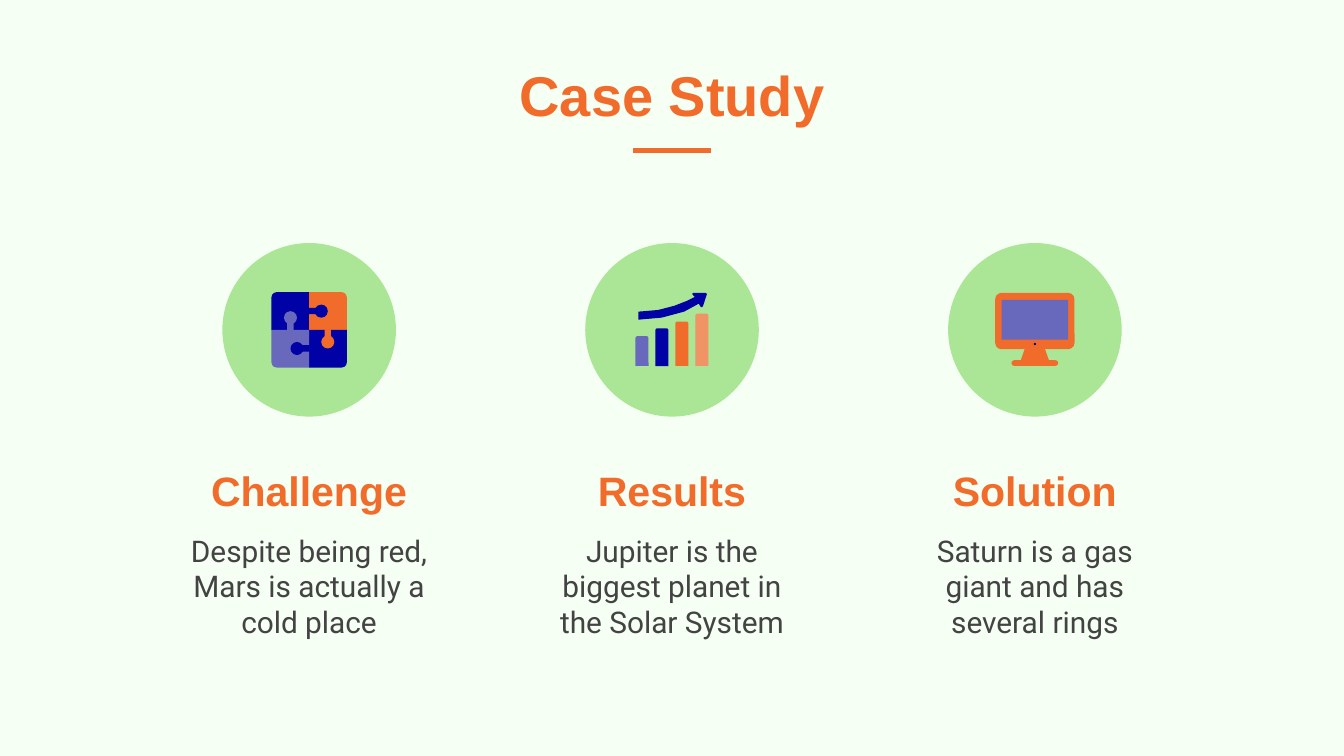
import pptx
import pptx.util
import pptx.dml.color
import pptx.enum.shapes
import pptx.enum.text
import pptx.oxml.ns
import lxml.etree

Pt = pptx.util.Pt
KIND = pptx.enum.shapes.MSO_SHAPE
ANCHOR = pptx.enum.text.MSO_ANCHOR
HEX = {
    "page": "F6FFF3", "disc": "ABE697", "orange": "F16C2A", "peach": "F09365",
    "navy": "0002A6", "violet": "6869BD", "text": "434343",
}
HEAD = {"size": Pt(30), "name": "Arial", "bold": True}
LABEL = {"size": Pt(22), "name": "Arial", "bold": True}
BODY = {"size": Pt(16), "name": "Roboto", "bold": False}


def rgb(tint):
    """Return the named colour."""
    return pptx.dml.color.RGBColor.from_string(HEX[tint])


def paint(shape, tint):
    """Give a shape a flat fill with no line or shadow."""
    shape.shadow.inherit = False
    shape.fill.solid()
    shape.fill.fore_color.rgb = rgb(tint)
    shape.line.fill.background()


def block(slide, kind, box, tint, round=None, turn=0):
    """Place a flat preset shape in a box given in points."""
    shape = slide.shapes.add_shape(kind, *map(Pt, box))
    if round is not None:
        shape.adjustments[0] = round
    shape.rotation = turn
    paint(shape, tint)


def spot(slide, kind, x, y, wide, high, tint):
    """Place a shape by its centre."""
    block(slide, kind, (x - wide / 2, y - high / 2, wide, high), tint)


def write(slide, box, words, look, tint, anchor):
    """Place a centred text box."""
    frame = slide.shapes.add_textbox(*map(Pt, box)).text_frame
    form = {"word_wrap": True, "vertical_anchor": anchor}
    for side in ("left", "top", "right", "bottom"):
        form["margin_" + side] = Pt(7.2)
    for key, value in form.items():
        setattr(frame, key, value)
    line = frame.paragraphs[0]
    line.alignment = pptx.enum.text.PP_ALIGN.CENTER
    run = line.add_run()
    run.text = words
    for key, value in look.items():
        setattr(run.font, key, value)
    run.font.color.rgb = rgb(tint)


def header(slide, x, y, wide, high):
    """Place the slide title and the short rule below it."""
    write(slide, (x, y, wide, high), "Case Study", HEAD, "orange", ANCHOR.BOTTOM)
    mid, base = x + wide / 2, y + high + 5
    rule = slide.shapes.add_connector(
        pptx.enum.shapes.MSO_CONNECTOR.STRAIGHT,
        Pt(mid - 20.9), Pt(base), Pt(mid + 20.9), Pt(base))
    rule.line.width = Pt(3)
    rule.line.color.rgb = rgb("orange")
    lxml.etree.SubElement(rule._element.spPr, pptx.oxml.ns.qn("a:effectLst"))


def puzzle(slide, x, y):
    """Draw four interlocking pieces around a centre."""
    side = 20.2
    tiles = [(-1, -1, 270, "navy"), (0, -1, 0, "orange"),
             (0, 0, 90, "navy"), (-1, 0, 180, "violet")]
    for col, row, turn, tint in tiles:
        box = (x + col * side, y + row * side, side, side)
        block(slide, KIND.ROUND_1_RECTANGLE, box, tint, 0.14, turn)
    knobs = [(6.5, -10, "navy"), (10, 6.5, "orange"),
             (-6.5, 10, "navy"), (-10, -6.5, "violet")]
    for dx, dy, tint in knobs:
        flat = abs(dx) < abs(dy)
        neck = (x + dx / 2, y + dy, 7, 3.4) if flat else (x + dx, y + dy / 2, 3.4, 7)
        spot(slide, KIND.RECTANGLE, *neck, tint)
        spot(slide, KIND.OVAL, x + dx, y + dy, 7, 7, tint)


def growth(slide, x, y):
    """Draw rising bars under a curved arrow."""
    bars = [(16, "violet"), (20.2, "navy"), (23.8, "orange"), (28, "peach")]
    for step, (high, tint) in enumerate(bars):
        box = (x - 19.6 + step * 10.7, y + 19.4 - high, 7, high)
        block(slide, KIND.ROUND_2_SAME_RECTANGLE, box, tint, 0.15)
    edge = [(10.8, -19.1), (12.2, -17.6), (8.1, -15.5), (1.4, -12.9),
            (-7.4, -10.6), (-18, -9.7), (-18, -5.4), (-5.5, -6.5),
            (6.5, -9.7), (14.4, -14), (15.1, -12.6), (16, -12),
            (16.6, -12.6), (18.7, -19.1), (18, -19.8), (11.5, -19.8)]
    dots = [(Pt(x + dx), Pt(y + dy)) for dx, dy in edge]
    pen = slide.shapes.build_freeform(*dots[0])
    pen.add_line_segments(dots[1:], close=True)
    paint(pen.convert_to_shape(), "navy")


def screen(slide, x, y):
    """Draw a desktop monitor on its stand."""
    parts = [
        (KIND.TRAPEZOID, 0, 12.6, 15.8, 9.4, "orange", 0.35),
        (KIND.ROUNDED_RECTANGLE, 0, -4.7, 42.5, 30.2, "orange", 0.11),
        (KIND.RECTANGLE, 0, -5.4, 35.6, 21.4, "violet", None),
        (KIND.ROUNDED_RECTANGLE, 0, 17.8, 25, 3, "orange", 0.5),
        (KIND.OVAL, 0, 7.6, 1.2, 1.2, "navy", None),
    ]
    for kind, dx, dy, wide, high, tint, round in parts:
        box = (x + dx - wide / 2, y + dy - high / 2, wide, high)
        block(slide, kind, box, tint, round)


def column(slide, x, y, wide, icon, label, words):
    """Place a disc with its icon, a label and a short text."""
    mid = x + wide / 2
    spot(slide, KIND.OVAL, mid, y + 46.5, 93, 93, "disc")
    icon(slide, mid, y + 46.5)
    write(slide, (x, y + 36, wide, 116.6), label, LABEL, "orange", ANCHOR.BOTTOM)
    write(slide, (x, y + 147.7, wide, 77.8), words, BODY, "text", ANCHOR.TOP)


def main():
    """Build the slide and save it."""
    deck = pptx.Presentation()
    deck.slide_width, deck.slide_height = Pt(720), Pt(405)
    slide = deck.slides.add_slide(deck.slide_layouts[6])
    slide.background.fill.solid()
    slide.background.fill.fore_color.rgb = rgb("page")
    header(slide, 62.6, 15.8, 594.8, 59.8)
    cases = [
        (puzzle, "Challenge", "Despite being red, Mars is actually a cold place"),
        (growth, "Results", "Jupiter is the biggest planet in the Solar System"),
        (screen, "Solution", "Saturn is a gas giant and has several rings"),
    ]
    for step, case in enumerate(cases):
        column(slide, 92.1 + step * 194.4, 130.2, 147, *case)
    deck.save("out.pptx")


if __name__ == "__main__":
    main()
